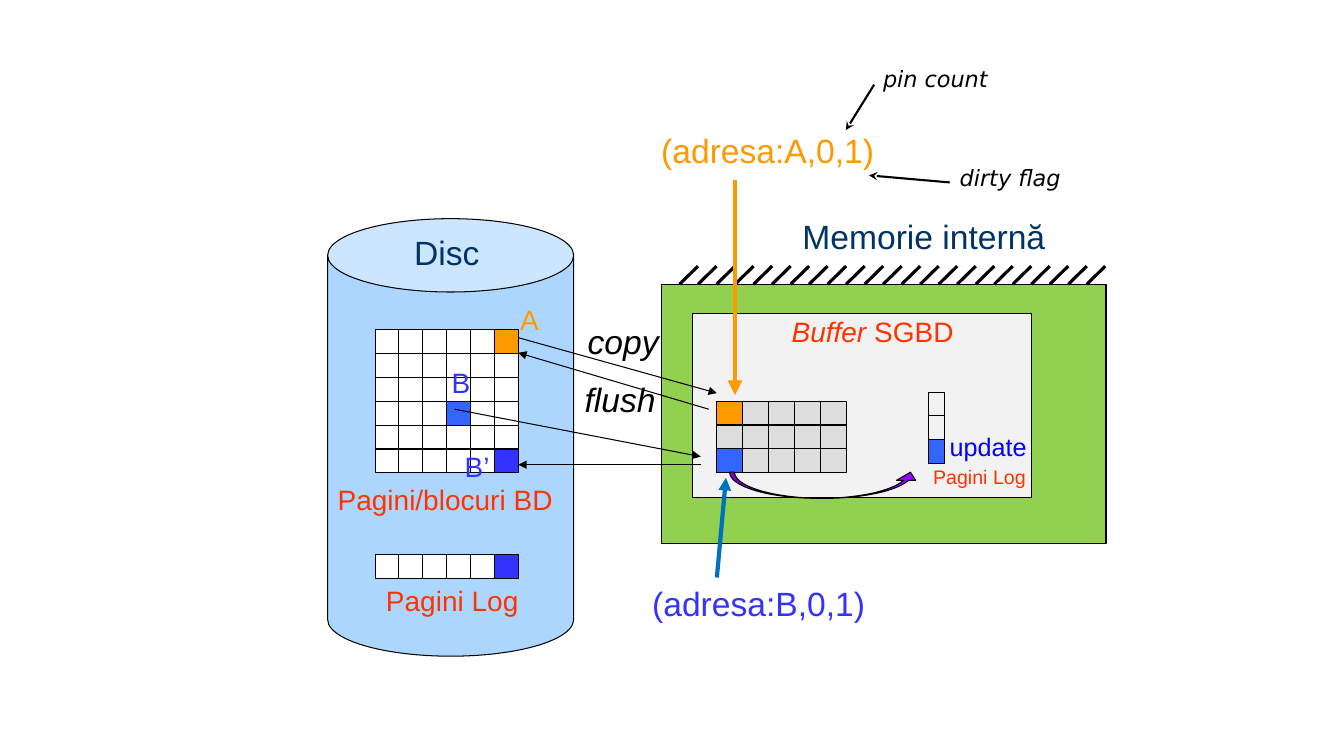
from lxml import etree
from pptx import Presentation
from pptx.dml.color import RGBColor
from pptx.enum import shapes, text
from pptx.oxml import ns
from pptx.util import Inches, Pt

BLACK = RGBColor(0x00, 0x00, 0x00)
WHITE = RGBColor(0xFF, 0xFF, 0xFF)
NAVY = RGBColor(0x00, 0x33, 0x66)
RED = RGBColor(0xFF, 0x33, 0x00)
ORANGE = RGBColor(0xFF, 0x99, 0x00)
INDIGO = RGBColor(0x33, 0x33, 0xFF)
BLUE = RGBColor(0x33, 0x66, 0xFF)
PURE_BLUE = RGBColor(0x00, 0x00, 0xFF)
TEAL = RGBColor(0x00, 0x70, 0xC0)
SKY = RGBColor(0xAD, 0xD6, 0xFF)
GREEN = RGBColor(0x92, 0xD0, 0x50)
PALE = RGBColor(0xF2, 0xF2, 0xF2)
GRAY = RGBColor(0xDD, 0xDD, 0xDD)
PURPLE = RGBColor(0x99, 0x00, 0xFF)

DISC = (3.25, 2.17, 2.44, 4.34)
MEMORY = (6.56, 2.82, 4.41, 2.57)
BUFFER = (6.87, 3.11, 3.36, 1.83)
UPDATE_ARROW = (8.05, 3.87, 0.26, 1.89)
HATCH_COUNT, HATCH_START, HATCH_STEP = 23, 6.74, 0.1836

# left, top, columns, rows, cell width, cell height, fill, {(column, row): fill}
GRIDS = [
    (3.72, 3.27, 6, 6, 0.237, 0.237, WHITE,
     {(5, 0): ORANGE, (3, 3): BLUE, (5, 5): INDIGO}),
    (3.72, 5.5, 6, 1, 0.237, 0.24, WHITE, {(5, 0): INDIGO}),
    (7.11, 3.98, 5, 3, 0.257, 0.237, GRAY, {(0, 0): ORANGE, (0, 2): BLUE}),
    (9.21, 3.89, 1, 3, 0.16, 0.237, None, {(0, 2): BLUE}),
]

ARROWS = [
    ((5.14, 3.35), (7.11, 3.9), BLACK, 0.75, "triangle"),
    ((4.51, 4.06), (6.95, 4.53), BLACK, 0.75, "triangle"),
    ((6.95, 4.61), (5.14, 4.61), BLACK, 0.75, "triangle"),
    ((7.03, 4.06), (5.14, 3.5), BLACK, 0.75, "triangle"),
    ((7.11, 5.73), (7.2, 4.74), TEAL, 3, "triangle"),
    ((7.29, 1.79), (7.29, 3.92), ORANGE, 3.5, "triangle"),
    ((8.67, 0.84), (8.39, 1.29), BLACK, 1.5, "stealth"),
    ((9.42, 1.81), (8.62, 1.74), BLACK, 1.5, "stealth"),
]

LEFT, CENTER = text.PP_ALIGN.LEFT, text.PP_ALIGN.CENTER
SANS, NOTE = "Arial", "DejaVu Sans"

# runs as (words, italic), box, size, colour, font, wrap, alignment, line spacing
LABELS = [
    ([("Disc", False)], (4.01, 2.25, 0.86, 0.5), 24, NAVY, SANS, False, LEFT, 1),
    ([("Memorie internă", False)], (7.86, 2.09, 2.64, 0.5), 24, NAVY, SANS, False, LEFT, 1),
    ([("Buffer", True), (" SGBD", False)], (7.2, 3.11, 2.91, 0.4), 20, RED, SANS, True, CENTER, 0.9),
    ([("Pagini/blocuri BD", False)], (3.25, 4.74, 2.36, 0.44), 20, RED, SANS, False, LEFT, 1),
    ([("(adresa:B,0,1)", False)], (6.37, 5.73, 2.49, 0.5), 24, INDIGO, SANS, True, LEFT, 1),
    ([("A", False)], (5.06, 2.95, 0.39, 0.44), 20, ORANGE, SANS, False, LEFT, 1),
    ([("B", False)], (4.38, 3.58, 0.39, 0.44), 20, INDIGO, SANS, False, LEFT, 1),
    ([("copy", True)], (5.73, 3.13, 0.91, 0.5), 24, BLACK, SANS, False, LEFT, 1),
    ([("flush", True)], (5.7, 3.71, 0.91, 0.5), 24, BLACK, SANS, False, LEFT, 1),
    ([("B’", False)], (4.51, 4.41, 0.45, 0.44), 20, INDIGO, SANS, False, LEFT, 1),
    ([("(adresa:A,0,1)", False)], (6.46, 1.24, 2.49, 0.5), 24, ORANGE, SANS, True, LEFT, 1),
    ([("pin count", True)], (8.66, 0.6, 1.25, 0.37), 16, BLACK, NOTE, False, LEFT, 1),
    ([("dirty flag", True)], (9.42, 1.58, 1.25, 0.37), 16, BLACK, NOTE, False, LEFT, 1),
    ([("Pagini Log", False)], (3.73, 5.74, 1.53, 0.44), 20, RED, SANS, False, LEFT, 1),
    ([("Pagini Log", False)], (9.15, 4.59, 1.13, 0.31), 14, RED, SANS, False, CENTER, 0.9),
    ([("update", False)], (9.32, 4.26, 1.31, 0.37), 18, PURE_BLUE, SANS, True, LEFT, 0.9),
]


def add_block(slide, kind, box, fill):
    block = slide.shapes.add_shape(kind, *map(Inches, box))
    block.shadow.inherit = False
    if fill is None:
        block.fill.background()
    else:
        block.fill.solid()
        block.fill.fore_color.rgb = fill
    block.line.color.rgb = BLACK
    block.line.width = Pt(0.75)
    return block


def add_line(slide, start, end, color, width, arrowhead=None):
    line = slide.shapes.add_connector(
        shapes.MSO_CONNECTOR.STRAIGHT, *map(Inches, start + end))
    line.line.color.rgb = color
    line.line.width = Pt(width)
    if arrowhead:
        etree.SubElement(line.line._get_or_add_ln(), ns.qn("a:tailEnd"), type=arrowhead)
    etree.SubElement(line._element.spPr, ns.qn("a:effectLst"))


def add_grid(slide, left, top, columns, rows, width, height, fill, marked):
    for row in range(rows):
        for column in range(columns):
            box = (left + column * width, top + row * height, width, height)
            add_block(slide, shapes.MSO_SHAPE.RECTANGLE, box,
                      marked.get((column, row), fill))


def add_label(slide, runs, box, size, color, font, wrap, align, spacing):
    frame = slide.shapes.add_textbox(*map(Inches, box)).text_frame
    frame.word_wrap = wrap
    frame.auto_size = text.MSO_AUTO_SIZE.SHAPE_TO_FIT_TEXT
    paragraph = frame.paragraphs[0]
    paragraph.alignment = align
    paragraph.line_spacing = spacing
    for words, italic in runs:
        run = paragraph.add_run()
        run.text = words
        run.font.name = font
        run.font.size = Pt(size)
        run.font.italic = italic
        run.font.color.rgb = color


def main():
    deck = Presentation()
    deck.slide_width, deck.slide_height = Inches(13.33), Inches(7.5)
    slide = deck.slides.add_slide(deck.slide_layouts[6])

    disc = add_block(slide, shapes.MSO_SHAPE.CAN, DISC, SKY)
    disc.adjustments[0] = 0.298
    add_block(slide, shapes.MSO_SHAPE.RECTANGLE, MEMORY, GREEN)
    for index in range(HATCH_COUNT):
        x = HATCH_START + index * HATCH_STEP
        add_line(slide, (x, 2.82), (x + HATCH_STEP, 2.64), BLACK, 2.25)
    add_block(slide, shapes.MSO_SHAPE.RECTANGLE, BUFFER, PALE)

    for grid in GRIDS:
        add_grid(slide, *grid)
    for arrow in ARROWS:
        add_line(slide, *arrow)
    for label in LABELS:
        add_label(slide, *label)

    update = add_block(slide, shapes.MSO_SHAPE.CURVED_RIGHT_ARROW, UPDATE_ARROW, PURPLE)
    for index, value in enumerate((0.19, 0.734, 0.311)):
        update.adjustments[index] = value
    update.rotation = 90
    for flip in ("flipH", "flipV"):
        update._element.spPr.xfrm.set(flip, "1")

    deck.save("out.pptx")


if __name__ == "__main__":
    main()
